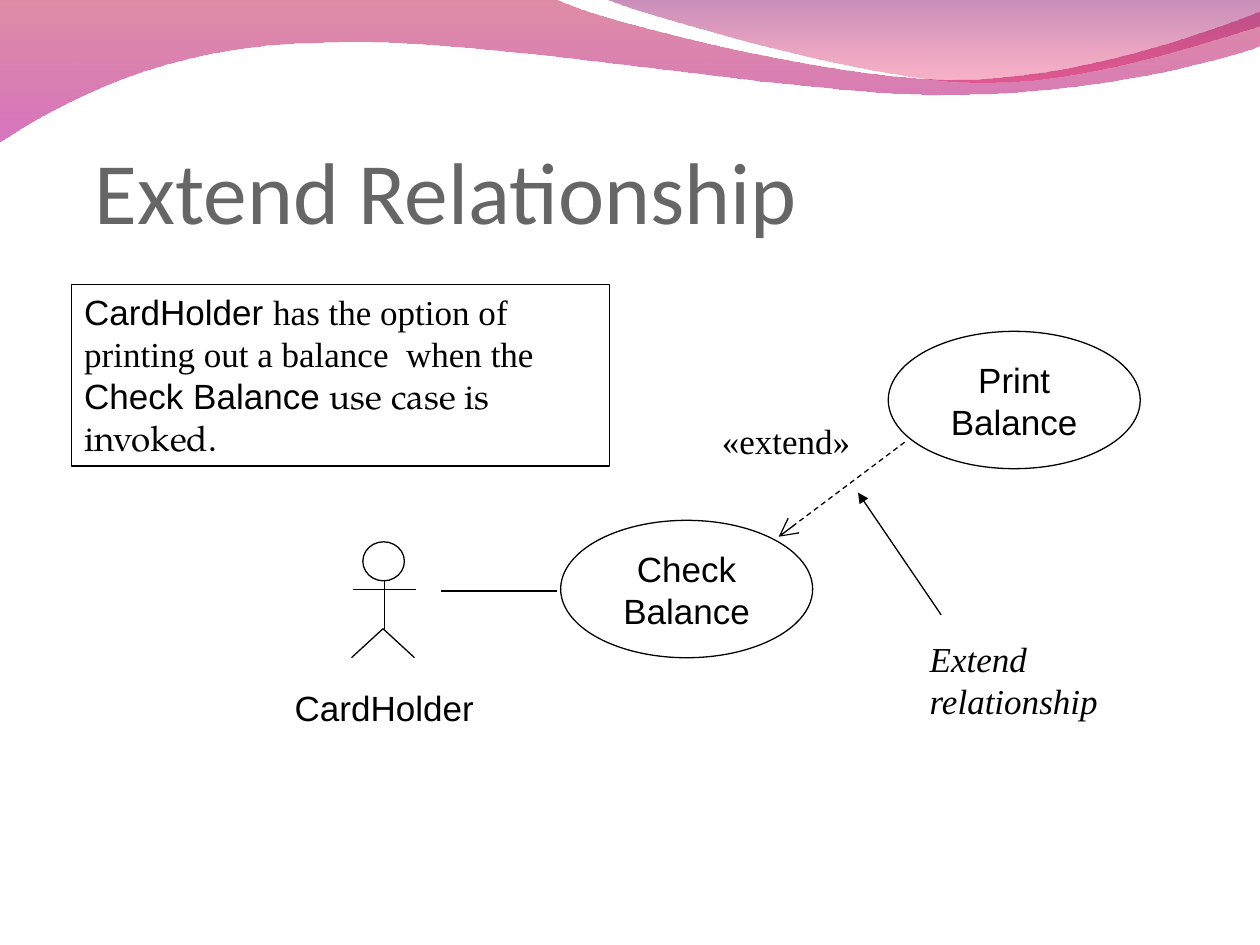
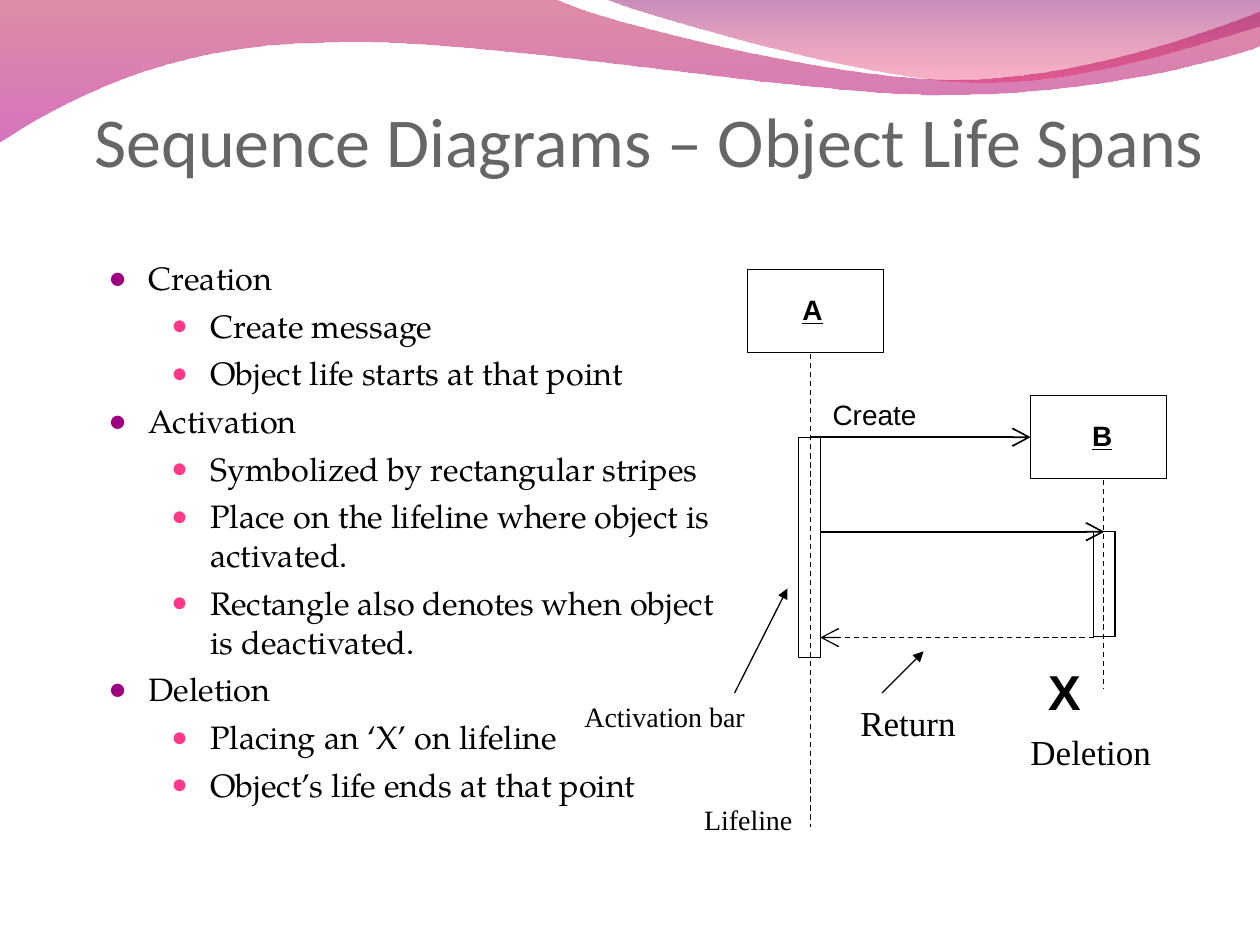
"""Build two UML slides: an extend relationship and object life spans."""
from lxml import etree
from pptx import Presentation
from pptx.dml.color import RGBColor
from pptx.enum.dml import MSO_LINE
from pptx.enum.shapes import MSO_CONNECTOR, MSO_SHAPE
from pptx.enum.text import MSO_ANCHOR, MSO_AUTO_SIZE, PP_ALIGN
from pptx.oxml.ns import qn
from pptx.util import Inches, Pt

STRAIGHT = MSO_CONNECTOR.STRAIGHT
RECT, OVAL = MSO_SHAPE.RECTANGLE, MSO_SHAPE.OVAL
DASH = MSO_LINE.DASH
TOP, MIDDLE, BOTTOM = MSO_ANCHOR.TOP, MSO_ANCHOR.MIDDLE, MSO_ANCHOR.BOTTOM
LEFT, CENTER = PP_ALIGN.LEFT, PP_ALIGN.CENTER
FIXED, GROW = MSO_AUTO_SIZE.NONE, MSO_AUTO_SIZE.SHAPE_TO_FIT_TEXT

BLACK, WHITE, GREY = "000000", "FFFFFF", "666666"
SANS, SERIF, BODY, HEAD = "Arial", "Times New Roman", "TeX Gyre Pagella", "Calibri"
SANS20 = {"name": SANS, "size": Pt(20)}
SERIF20 = {"name": SERIF, "size": Pt(20)}
SERIF16 = {"name": SERIF, "size": Pt(16)}
BODY20 = {"name": BODY, "size": Pt(20)}
OBJECT = {"name": SANS, "size": Pt(16), "bold": True, "underline": True}
HEAD_SIZES = {"arrow": "lg", "triangle": "med"}

WAVES = [
    ((0, -0.01),
     [(4.4, -0.01), (4.76, 0.17, 6.64, 0.63, 7.58, 0.63), (8.53, 0.63, 9.58, 0.26, 10, 0.09),
      (10.01, 0.36), (9.83, 0.44, 8.7, 0.76, 7.46, 0.75), (6.22, 0.75, 3.82, 0.28, 2.57, 0.34),
      (1.29, 0.35, 0.46, 0.83, -0.01, 1.13)],
     [("B8003B", 45), ("B4008B", 55)]),
    ((4.79, -0.01),
     [(5.09, 0.11, 6.82, 0.62, 7.69, 0.65), (8.56, 0.69, 9.61, 0.32, 10, 0.21), (10, 0)],
     [("820066", 45), ("F10044", 30)]),
]

USE_CASES = [("Print Balance", (7.05, 2.63, 2, 1.09)), ("Check\nBalance", (4.45, 4.13, 2, 1.09))]
ACTOR_HEAD = (2.88, 4.3, 0.33, 0.31)
ACTOR_LIMBS = [(3.05, 4.61, 3.05, 4.99), (3.04, 4.99, 2.79, 5.22),
               (3.04, 4.99, 3.29, 5.22), (2.8, 4.68, 3.3, 4.68)]
EXTEND_LINES = [((3.5, 4.69, 4.42, 4.69), {}),
                ((7.18, 3.51, 6.18, 4.26), {"dash": DASH, "tail": "arrow"}),
                ((7.47, 4.88, 6.81, 3.91), {"tail": "triangle"})]
EXTEND_NOTE = [("CardHolder ", SANS20),
               ("has the option of printing out a balance  when the ", SERIF20),
               ("Check Balance ", SANS20), ("use case is invoked.", BODY20)]
EXTEND_LABELS = [
    ("CardHolder", (2.24, 5.4, 1.62, 0.44), SANS20, {"align": CENTER, "wrap": False}),
    ("«extend»", (5.63, 3.28, 1.22, 0.44), SERIF20, {"wrap": False}),
    ("Extend relationship", (7.28, 5.01, 1.75, 0.77), {**SERIF20, "italic": True}, {}),
]

LIFE_SPANS = [
    ("Creation", ["Create message", "Object life starts at that point"]),
    ("Activation", ["Symbolized by rectangular stripes",
                    "Place on the lifeline where object is activated.",
                    "Rectangle also denotes when object is deactivated."]),
    ("Deletion", ["Placing an ‘X’ on lifeline", "Object’s life ends at that point"]),
]
BULLETS = [(0.32, -0.32, "9C007F", 95), (0.81, -0.31, "FF388C", 85)]
BOXES = {"A": (5.93, 2.14, 1.08, 0.66), "B": (8.18, 3.14, 1.08, 0.66),
         "A bar": (6.34, 3.47, 0.17, 1.75), "B bar": (8.68, 4.22, 0.17, 0.83)}
LIFE_LINES = [((6.43, 2.81, 6.43, 6.56), {"dash": DASH}),
              ((8.76, 3.81, 8.76, 5.47), {"dash": DASH}),
              ((8.68, 5.06, 6.51, 5.06), {"dash": DASH, "tail": "arrow"}),
              ((7, 5.5, 7.33, 5.17), {"tail": "triangle"}),
              ((5.83, 5.5, 6.25, 4.67), {"tail": "triangle"})]
LIFE_LABELS = [
    ("A", (6.27, 2.27, 0.36, 0.37), OBJECT, {"wrap": False}),
    ("B", (8.57, 3.27, 0.36, 0.37), OBJECT, {"wrap": False}),
    ("Create", (6.51, 3.14, 1.5, 0.34), {"name": SANS, "size": Pt(16)}, {"spacing": 0.9}),
    ("X", (8.22, 5.25, 1.09, 0.52), {"name": SANS, "size": Pt(28), "bold": True},
     {"spacing": 0.9}),
    ("Activation bar", (4.54, 5.05, 1.71, 0.82), SERIF16, {"anchor": BOTTOM, "fit": FIXED}),
    ("Deletion", (8.08, 5.75, 1.16, 0.44), SERIF20, {"wrap": False}),
    ("Return", (6.73, 5.52, 0.96, 0.44), SERIF20, {"wrap": False}),
    ("Lifeline", (5.49, 6.32, 0.9, 0.37), SERIF16, {"wrap": False}),
]


def rgb(code):
    return RGBColor.from_string(code)


def inches(values):
    return [Inches(v) for v in values]


def set_alpha(sp, percents):
    colors = sp.element.spPr.iter(qn("a:srgbClr"))
    for color, percent in zip(colors, percents):
        etree.SubElement(color, qn("a:alpha")).set("val", str(percent * 1000))


def add_run(p, text, fmt, color=BLACK):
    r = p.add_run()
    r.text = text
    for key, value in fmt.items():
        setattr(r.font, key, value)
    r.font.color.rgb = rgb(color)


def set_frame(tf, anchor=TOP, wrap=True, fit=GROW, margins=(0.1, 0.05, 0.1, 0.05)):
    left, top, right, bottom = inches(margins)
    fmt = {"vertical_anchor": anchor, "word_wrap": wrap, "auto_size": fit, "margin_left": left,
           "margin_top": top, "margin_right": right, "margin_bottom": bottom}
    for key, value in fmt.items():
        setattr(tf, key, value)


def write(tf, paragraphs, align=LEFT, color=BLACK, spacing=None, **frame):
    set_frame(tf, **frame)
    for i, runs in enumerate(paragraphs):
        p = tf.add_paragraph() if i else tf.paragraphs[0]
        p.alignment = align
        p.line_spacing = spacing
        for text, fmt in runs:
            add_run(p, text, fmt, color)


def add_labels(shapes, labels):
    for text, at, fmt, options in labels:
        write(shapes.add_textbox(*inches(at)).text_frame, [[(text, fmt)]], **options)


def add_outline(shapes, kind, at):
    sp = shapes.add_shape(kind, *inches(at))
    sp.shadow.inherit = False
    sp.line.color.rgb = rgb(BLACK)
    sp.line.width = Pt(0.75)
    if kind == OVAL:
        sp.fill.solid()
        sp.fill.fore_color.rgb = rgb(WHITE)
        set_alpha(sp, [50])
    else:
        sp.fill.background()
    return sp


def add_line(shapes, ends, dash=None, tail=None, width=0.75):
    line = shapes.add_connector(STRAIGHT, *inches(ends))
    line.line.color.rgb = rgb(BLACK)
    line.line.width = Pt(width)
    if dash:
        line.line.dash_style = dash
    if tail:
        end = etree.SubElement(line.element.spPr.find(qn("a:ln")), qn("a:tailEnd"))
        for key, value in (("type", tail), ("w", HEAD_SIZES[tail]), ("len", HEAD_SIZES[tail])):
            end.set(key, value)
    etree.SubElement(line.element.spPr, qn("a:effectLst"))
    return line


def bend(sp, segments):
    lines = sp.element.spPr.iter(qn("a:lnTo"))
    lines = iter(list(lines))
    for segment in segments:
        curve = next(lines)
        if len(segment) == 6:
            curve.tag = qn("a:cubicBezTo")
            for line in (next(lines), next(lines)):
                curve.append(line[0])
                line.getparent().remove(line)


def add_waves(prs, shapes):
    for i, (start, segments, stops) in enumerate(WAVES):
        builder = shapes.build_freeform(*inches(start), scale=1.0)
        points = [inches(seg[j:j + 2]) for seg in segments for j in range(0, len(seg), 2)]
        builder.add_line_segments(points, close=True)
        sp = builder.convert_to_shape()
        bend(sp, segments)
        sp.shadow.inherit = False
        sp.line.fill.background()
        sp.fill.gradient()
        sp.fill.gradient_angle = 270
        for stop, position, (color, _) in zip(sp.fill.gradient_stops, (0, 1), stops):
            stop.color.rgb = rgb(color)
            stop.position = position
        set_alpha(sp, [alpha for _, alpha in stops])
        sp.element.nvSpPr.cNvPr.set("id", str(100 + i))
        prs.slide_master.shapes.element.append(sp.element)


def place(sp, at):
    for key, value in zip(("left", "top", "width", "height"), inches(at)):
        setattr(sp, key, value)


def set_title(slide, text, at, size):
    place(slide.shapes.title, at)
    write(slide.shapes.title.text_frame, [[(text, {"name": HEAD, "size": Pt(size)})]],
          color=GREY, anchor=BOTTOM, fit=FIXED, margins=(0, 0.05, 0, 0))


def set_bullet(p, level):
    left, indent, color, size = BULLETS[level]
    p.level = level
    p.space_before = Pt(5)
    pPr = p._p.get_or_add_pPr()
    pPr.set("marL", str(Inches(left)))
    pPr.set("indent", str(Inches(indent)))
    buClr = etree.SubElement(pPr, qn("a:buClr"))
    etree.SubElement(buClr, qn("a:srgbClr")).set("val", color)
    etree.SubElement(pPr, qn("a:buSzPct")).set("val", str(size * 1000))
    etree.SubElement(pPr, qn("a:buChar")).set("char", "●")


def build_extend(slide):
    shapes = slide.shapes
    set_title(slide, "Extend Relationship", (0.75, 0.67, 8.5, 1.25), 50)
    for name, at in USE_CASES:
        sp = add_outline(shapes, OVAL, at)
        write(sp.text_frame, [[(part, SANS20)] for part in name.split("\n")],
              align=CENTER, anchor=MIDDLE, fit=FIXED)
    head = add_outline(shapes, OVAL, ACTOR_HEAD)
    shapes.add_group_shape([head] + [add_line(shapes, limb) for limb in ACTOR_LIMBS])
    for ends, style in EXTEND_LINES:
        add_line(shapes, ends, **style)
    note = add_outline(shapes, RECT, (0.57, 2.26, 4.27, 1.44))
    write(note.text_frame, [EXTEND_NOTE])
    add_labels(shapes, EXTEND_LABELS)


def build_life_spans(slide):
    shapes = slide.shapes
    set_title(slide, "Sequence Diagrams – Object Life Spans", (0.75, 0.5, 9, 0.94), 40)
    body = slide.placeholders[1]
    place(body, (0.76, 2, 5.15, 4.75))
    items = [(text, level) for topic, details in LIFE_SPANS
             for text, level in [(topic, 0)] + [(detail, 1) for detail in details]]
    fmt = {"name": BODY, "size": Pt(18.5)}
    write(body.text_frame, [[(text, fmt)] for text, _ in items], fit=FIXED)
    for p, (_, level) in zip(body.text_frame.paragraphs, items):
        set_bullet(p, level)

    boxes = {name: add_outline(shapes, RECT, at) for name, at in BOXES.items()}
    for ends, style in LIFE_LINES:
        add_line(shapes, ends, **style)
    create = add_line(shapes, (6.43, 3.47, 8.18, 3.47), tail="arrow", width=1)
    create.begin_connect(boxes["A bar"], 0)
    create.end_connect(boxes["B"], 1)
    message = add_line(shapes, (6.51, 4.22, 8.76, 4.22), tail="arrow", width=1)
    message.end_connect(boxes["B bar"], 0)
    add_labels(shapes, LIFE_LABELS)


def main():
    prs = Presentation()
    prs.slide_width, prs.slide_height = inches((10, 7.5))
    extend = prs.slides.add_slide(prs.slide_layouts.get_by_name("Title Only"))
    life_spans = prs.slides.add_slide(prs.slide_layouts.get_by_name("Title and Content"))
    add_waves(prs, extend.shapes)
    build_extend(extend)
    build_life_spans(life_spans)
    prs.save("out.pptx")


if __name__ == "__main__":
    main()
